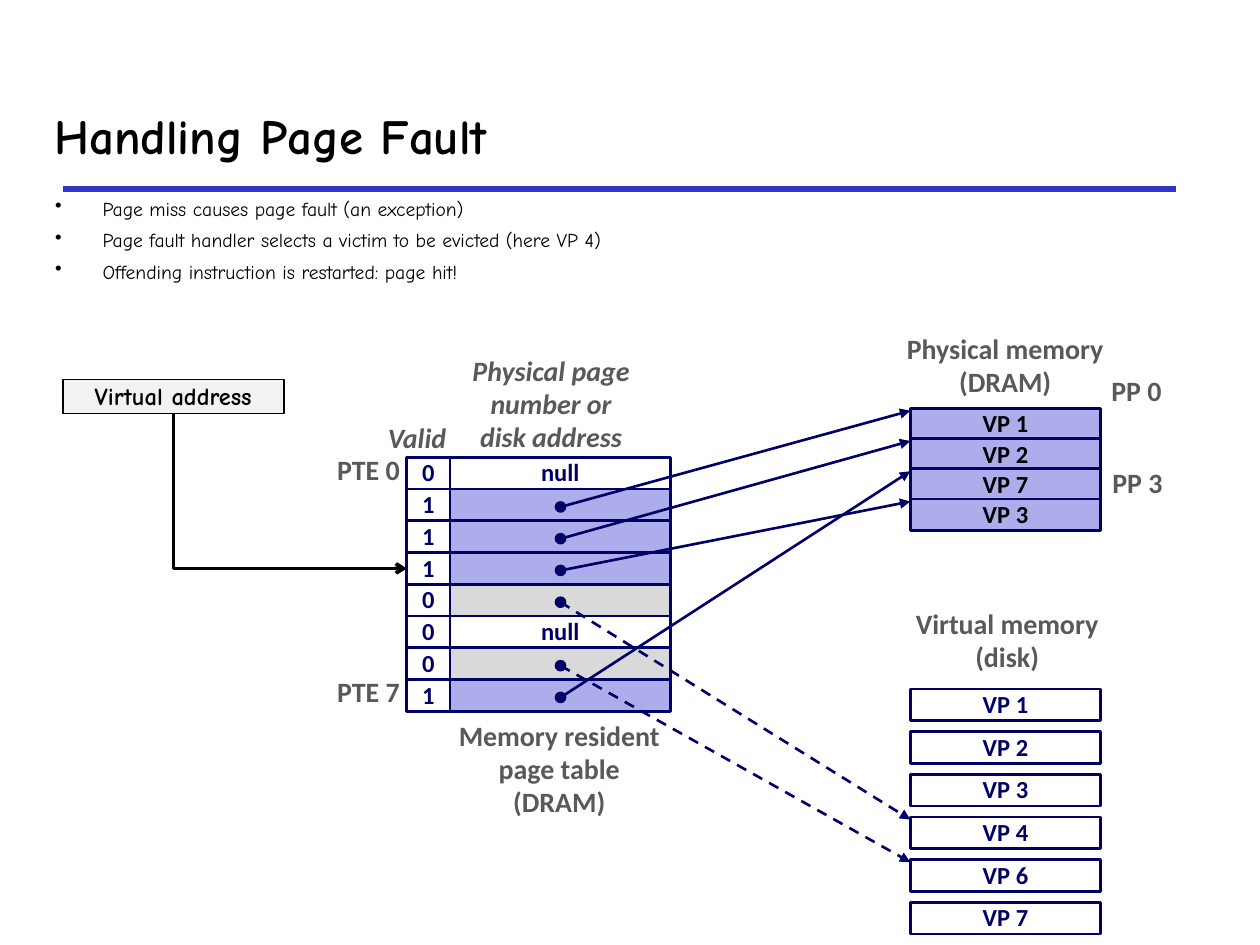
from lxml.etree import SubElement
from pptx import Presentation
from pptx.dml.color import RGBColor
from pptx.enum.dml import MSO_LINE
from pptx.enum.shapes import MSO_CONNECTOR, MSO_SHAPE
from pptx.enum.text import MSO_ANCHOR, PP_ALIGN
from pptx.oxml.ns import qn
from pptx.util import Cm, Pt

COLORS = {
    "navy": "000066", "lilac": "ADADEB", "gray": "D9D9D9", "white": "FFFFFF",
    "black": "000000", "label": "595959", "rule": "3333CC", "box": "F2F2F2",
}
TITLE_FONT = {"name": "Comic Neue", "size": Pt(28), "bold": True}
BULLET_FONT = {"name": "Comic Neue", "size": Pt(11.2)}
ADDRESS_FONT = {"name": "Comic Neue", "size": Pt(14), "bold": True}
CELL_FONT = {"name": "Calibri", "size": Pt(14), "bold": True}
LABEL_FONT = {"name": "Calibri", "size": Pt(16), "bold": True}
HEADING_FONT = {**LABEL_FONT, "italic": True}
CENTERED = {"alignment": PP_ALIGN.CENTER, "line_spacing": 0.98}

# Geometry in centimetres
ROW = 0.64
TABLE_TOP = 9.22
VALID_X, VALID_W = 8.2, 0.87
ENTRY_X, ENTRY_W = 9.07, 4.45
DOT_X, DOT_SIZE = 11.3, 0.2
PAGE_X, PAGE_W = 18.35, 3.84
PHYSICAL_TOP, PHYSICAL_STEP = 8.23, 0.61
VIRTUAL_TOP, VIRTUAL_STEP = 13.89, 0.86

BULLETS = [
    "Page miss causes page fault (an exception)",
    "Page fault handler selects a victim to be evicted (here VP 4)",
    "Offending instruction is restarted: page hit!",
]
# Valid bit, memory that the entry points into, page index there
ENTRIES = [
    (0, None, None), (1, "physical", 0), (1, "physical", 1), (1, "physical", 3),
    (0, "virtual", 3), (0, None, None), (0, "virtual", 4), (1, "physical", 2),
]
ENTRY_FILLS = {None: "white", "physical": "lilac", "virtual": "gray"}
PAGES = {
    "physical": ["VP 1", "VP 2", "VP 7", "VP 3"],
    "virtual": ["VP 1", "VP 2", "VP 3", "VP 4", "VP 6", "VP 7"],
}
# Text, left, top, width, height, font, alignment
LABELS = [
    ("Memory resident\npage table\n(DRAM)", 8.99, 14.4, 4.57, 2.26, LABEL_FONT, PP_ALIGN.CENTER),
    ("Physical memory\n(DRAM)", 18.03, 6.6, 4.47, 1.57, LABEL_FONT, PP_ALIGN.CENTER),
    ("Virtual memory\n(disk)", 18.21, 12.14, 4.19, 1.57, LABEL_FONT, PP_ALIGN.CENTER),
    ("Physical page\nnumber or\ndisk address", 9.27, 7.04, 3.68, 2.26, HEADING_FONT, PP_ALIGN.CENTER),
    ("Valid", 7.57, 8.38, 1.9, 0.91, HEADING_FONT, PP_ALIGN.LEFT),
    ("PTE 0", 6.53, 9.04, 1.78, 0.91, LABEL_FONT, PP_ALIGN.RIGHT),
    ("PTE 7", 6.53, 13.51, 1.78, 0.91, LABEL_FONT, PP_ALIGN.RIGHT),
    ("PP 0", 22.15, 7.44, 1.52, 0.91, LABEL_FONT, PP_ALIGN.CENTER),
    ("PP 3", 22.17, 9.3, 1.52, 0.91, LABEL_FONT, PP_ALIGN.CENTER),
]


def rgb(color):
    return RGBColor.from_string(COLORS[color])


def write(frame, text, font, color, paragraph_format):
    frame.text = text
    for paragraph in frame.paragraphs:
        for key, value in paragraph_format.items():
            setattr(paragraph, key, value)
        for key, value in font.items():
            setattr(paragraph.runs[0].font, key, value)
        paragraph.runs[0].font.color.rgb = rgb(color)


def add_box(slide, left, top, width, height, fill, text="", color="navy",
            line="navy", weight=1.5, font=CELL_FONT, kind=MSO_SHAPE.RECTANGLE):
    box = slide.shapes.add_shape(kind, Cm(left), Cm(top), Cm(width), Cm(height))
    box.shadow.inherit = False
    box.fill.solid()
    box.fill.fore_color.rgb = rgb(fill)
    box.line.color.rgb = rgb(line)
    box.line.width = Pt(weight)
    if text:
        box.text_frame.word_wrap = False
        box.text_frame.vertical_anchor = MSO_ANCHOR.MIDDLE
        write(box.text_frame, text, font, color, CENTERED)
    return box


def add_line(slide, start, end, color, weight, head=None, dashed=False,
             kind=MSO_CONNECTOR.STRAIGHT):
    line = slide.shapes.add_connector(kind, *(Cm(value) for value in (*start, *end)))
    line.line.color.rgb = rgb(color)
    line.line.width = Pt(weight)
    if dashed:
        line.line.dash_style = MSO_LINE.DASH
    if head:
        SubElement(line.line._get_or_add_ln(), qn("a:tailEnd"), type=head)
    SubElement(line._element.spPr, qn("a:effectLst"))
    return line


def add_label(slide, text, left, top, width, height, font, alignment):
    label = slide.shapes.add_textbox(Cm(left), Cm(top), Cm(width), Cm(height))
    label.text_frame.word_wrap = False
    write(label.text_frame, text, font, "label", {**CENTERED, "alignment": alignment})


def add_title(slide):
    title = slide.shapes.title
    place = {"left": Cm(0.84), "top": Cm(1.63), "width": Cm(23.01), "height": Cm(2.18)}
    for key, value in place.items():
        setattr(title, key, value)
    title.text_frame.vertical_anchor = MSO_ANCHOR.MIDDLE
    write(title.text_frame, "Handling Page Fault", TITLE_FONT, "black",
          {"alignment": PP_ALIGN.LEFT})
    add_line(slide, (1.27, 3.81), (23.7, 3.81), "rule", 3)


def add_bullets(slide):
    points = slide.shapes.add_textbox(Cm(0.86), Cm(3.84), Cm(23.09), Cm(2.11))
    points.text_frame.word_wrap = True
    write(points.text_frame, "\n".join(BULLETS), BULLET_FONT, "black",
          {"space_before": Pt(4.5)})
    for paragraph in points.text_frame.paragraphs:
        properties = paragraph._p.get_or_add_pPr()
        properties.set("marL", str(Cm(0.96)))
        properties.set("indent", str(-Cm(0.96)))
        SubElement(properties, qn("a:buChar"), char="•")


def add_page_table(slide):
    """Draw both columns and return the cells of the valid column."""
    valid_cells = []
    for row, (valid, memory, _) in enumerate(ENTRIES):
        top = TABLE_TOP + row * ROW
        add_box(slide, ENTRY_X, top, ENTRY_W, ROW, ENTRY_FILLS[memory],
                "" if memory else "null")
        valid_cells.append(add_box(slide, VALID_X, top, VALID_W, ROW, "white", str(valid)))
    return valid_cells


def add_memory(slide, memory, top, step, fill, color):
    """Draw the pages and return the points where arrows reach them."""
    targets = []
    for index, page in enumerate(PAGES[memory]):
        page_top = top + index * step
        add_box(slide, PAGE_X, page_top, PAGE_W, ROW, fill, page, color)
        targets.append((PAGE_X, page_top + 0.05))
    return targets


def add_pointers(slide, targets):
    for row, (_, memory, page) in enumerate(ENTRIES):
        if memory:
            center = TABLE_TOP + (row + 0.5) * ROW + 0.04
            add_line(slide, (DOT_X, center), targets[memory][page], "navy", 1.5,
                     "triangle", dashed=memory == "virtual")
            add_box(slide, DOT_X - DOT_SIZE / 2, center - DOT_SIZE / 2, DOT_SIZE,
                    DOT_SIZE, "navy", weight=1, kind=MSO_SHAPE.OVAL)


def add_address(slide, valid_cell):
    address = add_box(slide, 1.27, 7.65, 4.45, 0.69, "box", "Virtual address",
                      "black", "black", 1, ADDRESS_FONT)
    lookup = add_line(slide, (0, 0), (1, 1), "black", 2, "arrow", kind=MSO_CONNECTOR.ELBOW)
    lookup.begin_connect(address, 2)
    lookup.end_connect(valid_cell, 1)
    # One bend, down then right: a quarter turn swaps width and height
    left, top, width, height = lookup.left, lookup.top, lookup.width, lookup.height
    shift = (width - height) // 2
    lookup.left, lookup.top = left + shift, top - shift
    lookup.width, lookup.height = height, width
    properties = lookup._element.spPr
    properties.find(qn("a:prstGeom")).set("prst", "bentConnector2")
    frame = properties.find(qn("a:xfrm"))
    frame.set("rot", "16200000")
    frame.set("flipH", "1")


def main():
    deck = Presentation()
    deck.slide_width, deck.slide_height = Cm(25.4), Cm(19.05)
    slide = deck.slides.add_slide(deck.slide_layouts[5])
    add_title(slide)
    add_bullets(slide)
    # Page table and the two memories
    valid_cells = add_page_table(slide)
    targets = {
        "physical": add_memory(slide, "physical", PHYSICAL_TOP, PHYSICAL_STEP, "lilac", "black"),
        "virtual": add_memory(slide, "virtual", VIRTUAL_TOP, VIRTUAL_STEP, "white", "navy"),
    }
    add_pointers(slide, targets)
    add_address(slide, valid_cells[3])
    # Captions
    for label in LABELS:
        add_label(slide, *label)
    deck.save("out.pptx")


if __name__ == "__main__":
    main()
